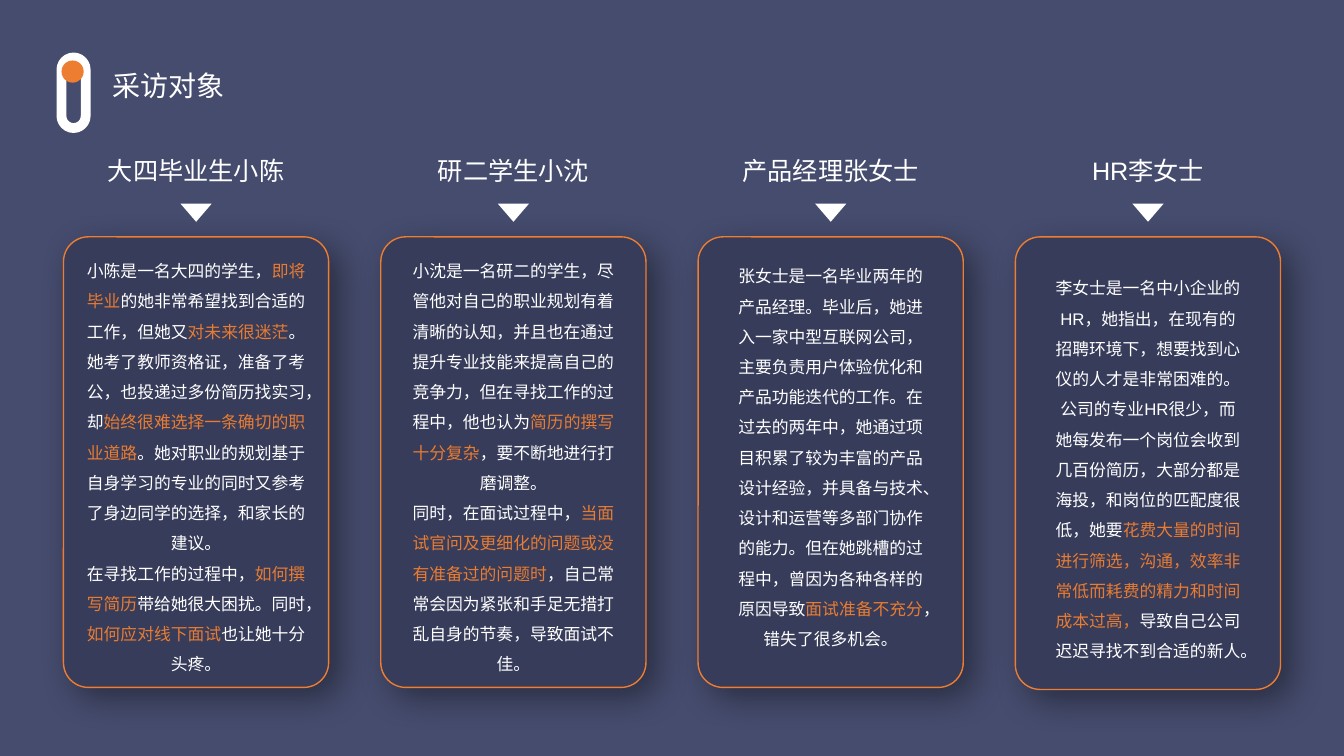
from lxml import etree
from pptx import Presentation
from pptx.dml.color import RGBColor
from pptx.enum.lang import MSO_LANGUAGE_ID as Language
from pptx.enum.shapes import MSO_SHAPE as Preset
from pptx.enum.text import MSO_AUTO_SIZE as AutoSize, PP_ALIGN as Align
from pptx.oxml import parse_xml
from pptx.oxml.ns import nsdecls
from pptx.util import Inches, Pt

COLORS = {
    "background": "464C6E",
    "card": "373C5A",
    "border": "ED7D31",
    "highlight": "E87C32",
    "white": "FFFFFF",
    "shadow": "000000",
}

# Four columns of equal pitch; the rows are shared by all of them
FIRST_LEFT, PITCH = 0.63, 3.147
CARD_WIDTH, CARD_HEIGHT = 2.63, 4.47
TITLE_WIDTH, ARROW_WIDTH = 2.02, 0.31
TITLE_TOP, ARROW_TOP, CARD_TOP = 1.49, 2.02, 2.35

# Title, text left within the column, text top, text width, text height,
# added card height, paragraphs (highlights stand between asterisks)
INTERVIEWEES = [
    ("大四毕业生小陈", 0.11, 2.44, 2.41, 4.3, 0, [
        "小陈是一名大四的学生，*即将毕业*的她非常希望找到合适的工作，但她又*对未来很迷茫*。",
        "她考了教师资格证，准备了考公，也投递过多份简历找实习，却*始终很难选择一条确切的职业道路*"
        "。她对职业的规划基于自身学习的专业的同时又参考了身边同学的选择，和家长的建议。",
        "在寻找工作的过程中，*如何撰写简历*带给她很大困扰。同时，*如何应对线下面试*也让她十分头疼。",
    ]),
    ("研二学生小沈", 0.14, 2.44, 2.35, 4.3, 0, [
        "小沈是一名研二的学生，尽管他对自己的职业规划有着清晰的认知，并且也在通过提升专业技能来"
        "提高自己的竞争力，但在寻找工作的过 程中，他也认为*简历的撰写十分复杂*，要不断地进行打磨调整。",
        "同时，在面试过程中，*当面试官问及更细化的问题或没有准备过的问题时*"
        "，自己常常会因为紧张和手足无措打乱自身的节奏，导致面试不佳。",
    ]),
    ("产品经理张女士", 0.28, 2.49, 2.07, 4, 0, [
        "张女士是一名毕业两年的产品经理。毕业后，她进入一家中型互联网公司，主要负责用户体验优化和"
        "产品功能迭代的工作。在过去的两年中，她通过项目积累了较为丰富的产品设计经验，并具备与技术、"
        "设计和运营等多部门协作的能力。但在她跳槽的过程中，曾因为各种各样的原因导致*面试准备不充分*"
        "，错失了很多机会。",
    ]),
    ("HR李女士", 0.28, 2.61, 2.07, 4, 0.02, [
        "李女士是一名中小企业的HR，她指出，在现有的招聘环境下，想要找到心仪的人才是非常困难的。",
        "公司的专业HR很少，而她每发布一个岗位会收到几百份简历，大部分都是海投，和岗位的匹配度很低，"
        "她要*花费大量的时间进行筛选，沟通，效率非常低而耗费的精力和时间成本过高，*"
        "导致自己公司迟迟寻找不到合适的新人。",
    ]),
]

presentation = Presentation()
presentation.slide_width, presentation.slide_height = Inches(13.33), Inches(7.5)
slide = presentation.slides.add_slide(presentation.slide_layouts[6])
slide.background.fill.solid()
slide.background.fill.fore_color.rgb = RGBColor.from_string(COLORS["background"])


def add_text(paragraphs, box, size, align=Align.CENTER, spacing=None):
    frame = slide.shapes.add_textbox(*map(Inches, box)).text_frame
    frame.word_wrap = True
    frame.auto_size = AutoSize.SHAPE_TO_FIT_TEXT
    for number, text in enumerate(paragraphs):
        paragraph = frame.add_paragraph() if number else frame.paragraphs[0]
        paragraph.alignment = align
        paragraph.line_spacing = spacing
        for position, part in enumerate(text.split("*")):
            if not part:
                continue
            run = paragraph.add_run()
            run.text = part
            run.font.name, run.font.size = "Arial", Pt(size)
            run.font.language_id = Language.SIMPLIFIED_CHINESE
            color = COLORS["highlight" if position % 2 else "white"]
            run.font.color.rgb = RGBColor.from_string(color)


def add_shape(preset, box, fill=None, line=None, width=1, corner=None):
    shape = slide.shapes.add_shape(preset, *map(Inches, box))
    shape.shadow.inherit = False
    if fill:
        shape.fill.solid()
        shape.fill.fore_color.rgb = RGBColor.from_string(COLORS[fill])
    else:
        shape.fill.background()
    if line:
        shape.line.color.rgb = RGBColor.from_string(COLORS[line])
        shape.line.width = Pt(width)
    else:
        shape.line.fill.background()
    if corner is not None:
        shape.adjustments[0] = corner
    return shape


# Heading with its capsule mark
capsule = add_shape(Preset.ROUNDED_RECTANGLE, (0.38, 0.8, 0.7, 0.24),
                    line="white", width=7, corner=0.5)
capsule.rotation = 270
add_shape(Preset.OVAL, (0.61, 0.6, 0.22, 0.22), fill="border")
add_text(["采访对象"], (1.02, 0.63, 1.62, 0.46), 20, align=Align.JUSTIFY)

# One column per interviewee: card, title, text and arrow
for column, (title, indent, top, width, height, extra, story) in enumerate(INTERVIEWEES):
    left = FIRST_LEFT + column * PITCH
    center = left + CARD_WIDTH / 2
    card = add_shape(Preset.ROUNDED_RECTANGLE,
                     (left, CARD_TOP, CARD_WIDTH, CARD_HEIGHT + extra),
                     fill="card", line="border", corner=0.094)
    effects = card._element.spPr.find("{*}effectLst")
    effects.append(parse_xml(
        f'<a:outerShdw {nsdecls("a")} blurRad="{Pt(25)}" dist="{Pt(10)}" '
        f'dir="{45 * 60000}" algn="tl" rotWithShape="0"/>'))
    tint = etree.SubElement(effects[0], effects[0].tag.replace("outerShdw", "srgbClr"),
                            val=COLORS["shadow"])
    etree.SubElement(tint, tint.tag.replace("srgbClr", "alpha"), val="40000")

    add_text([title], (center - TITLE_WIDTH / 2, TITLE_TOP, TITLE_WIDTH, 0.42), 18)
    add_text(story, (left + indent, top, width, height), 12, spacing=1.5)
    arrow = add_shape(Preset.ISOSCELES_TRIANGLE,
                      (center - ARROW_WIDTH / 2, ARROW_TOP, ARROW_WIDTH, 0.18), fill="white")
    arrow.rotation = 180

presentation.save("out.pptx")
